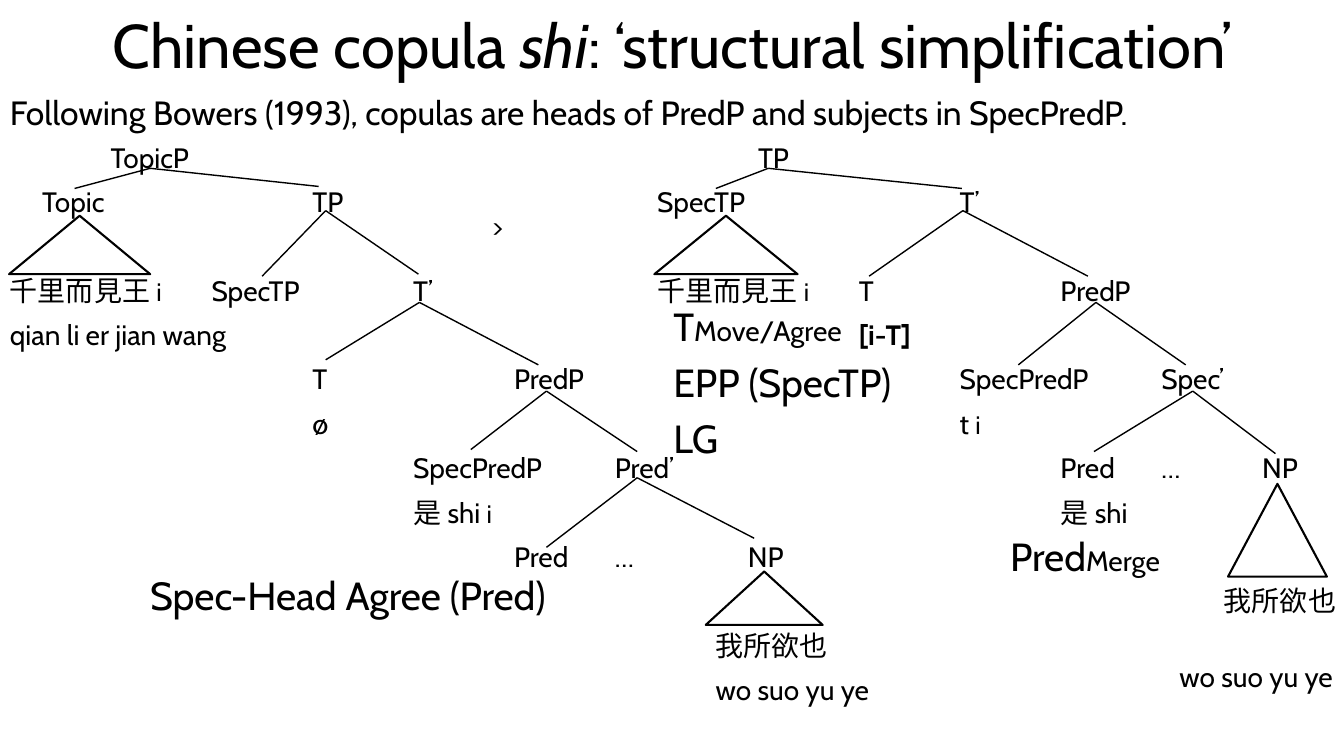
import pptx
import pptx.dml.color
import pptx.enum.shapes
import pptx.enum.text
import pptx.oxml.ns
import pptx.util
from lxml import etree
from pptx.util import Inches

BLACK = pptx.dml.color.RGBColor(0, 0, 0)
WHITE = pptx.dml.color.RGBColor(255, 255, 255)
FONT = "Cabin"
SLIDE_WIDTH, SLIDE_HEIGHT = 13.33, 7.5
ROW_HEIGHT = 0.44
LABEL_WIDTH = 2.4
LABEL_SIZE, INDEX_SIZE, NOTE_SIZE = 20, 18, 28

# Labels: (column in inches, row, runs); a run is (text, size, bold).
# Branches: apex, left end and right end. Triangles: left, top, width, height.
TOPIC_LABELS = [
    (1, 0, [("TopicP",)]),
    (0.32, 1, [("Topic",)]),
    (3, 1, [("TP",)]),
    (0, 3, [("千里而見王 ",), ("i", INDEX_SIZE)]),
    (2, 3, [("SpecTP",)]),
    (4, 3, [("T’",)]),
    (0, 4, [("qian li er jian wang",)]),
    (3, 5, [("T",)]),
    (5, 5, [("PredP",)]),
    (3, 6, [("ø",)]),
    (4, 7, [("SpecPredP",)]),
    (6, 7, [("Pred’",)]),
    (4, 8, [("是 shi ",), ("i", INDEX_SIZE)]),
    (5, 9, [("Pred",)]),
    (6, 9, [("…",)]),
    (7.32, 9, [("NP",)]),
    (7, 11, [("我所欲也",)]),
    (7, 12, [("wo suo yu ye",)]),
]
TOPIC_BRANCHES = [
    ((1.49, 0.29), (0.74, 0.49), (3.16, 0.47)),
    ((3.23, 0.71), (2.6, 1.36), (4.15, 1.34)),
    ((4.16, 1.62), (3.23, 2.19), (5.34, 2.24)),
    ((5.42, 2.5), (4.67, 3.08), (6.32, 3.1)),
    ((6.32, 3.36), (5.42, 4.05), (7.48, 3.96)),
]
TOPIC_TRIANGLES = [(0.09, 0.76, 1.4, 0.58), (7, 4.29, 1.16, 0.53)]

COPULA_LABELS = [
    (1, 0, [("TP",)]),
    (0, 1, [("SpecTP",)]),
    (3, 1, [("T’",)]),
    (0, 3, [("千里而見王 ",), ("i", INDEX_SIZE)]),
    (2, 3, [("T",)]),
    (4, 3, [("PredP",)]),
    (2, 4, [("[i-T]", LABEL_SIZE, True)]),
    (3, 5, [("SpecPredP",)]),
    (5, 5, [("Spec’",)]),
    (3, 6, [("t ",), ("i", INDEX_SIZE)]),
    (4, 7, [("Pred",)]),
    (5, 7, [("…",)]),
    (6, 7, [("NP",)]),
    (4, 8, [("是 shi",)]),
    (5.62, 10, [("我所欲也",)]),
    (5.18, 11.7, [("wo suo yu ye",)]),
]
COPULA_BRANCHES = [
    ((1.2, 0.29), (0.68, 0.49), (3.12, 0.49)),
    ((3.13, 0.71), (2.2, 1.36), (4.37, 1.36)),
    ((4.45, 1.62), (3.68, 2.24), (5.34, 2.24)),
    ((5.41, 2.5), (4.43, 3.1), (6.23, 3.12)),
]
COPULA_TRIANGLES = [(0.07, 0.76, 1.42, 0.58), (5.76, 3.42, 0.98, 0.92)]


def add_run(paragraph, text, size=LABEL_SIZE, bold=False, italic=False):
    run = paragraph.add_run()
    run.text = text
    run.font.name = FONT
    run.font.size = pptx.util.Pt(size)
    run.font.bold = bold
    run.font.italic = italic
    run.font.color.rgb = BLACK


def add_text(slide, left, top, width, height, paragraphs):
    """Add a text box; each paragraph is a list of run tuples."""
    frame = slide.shapes.add_textbox(
        Inches(left), Inches(top), Inches(width), Inches(height)).text_frame
    frame.word_wrap = True
    frame.margin_right = 0
    for index, runs in enumerate(paragraphs):
        paragraph = frame.add_paragraph() if index else frame.paragraphs[0]
        paragraph.line_spacing = 0.9
        if index:
            paragraph.space_before = pptx.util.Pt(10)
        for run in runs:
            add_run(paragraph, *run)


def add_branch(slide, start, end):
    branch = slide.shapes.add_connector(
        pptx.enum.shapes.MSO_CONNECTOR.STRAIGHT,
        *(Inches(value) for value in start + end))
    branch.line.color.rgb = BLACK
    branch.line.width = pptx.util.Pt(1)
    etree.SubElement(branch._element.spPr, pptx.oxml.ns.qn("a:effectLst"))


def add_triangle(slide, left, top, width, height):
    triangle = slide.shapes.add_shape(
        pptx.enum.shapes.MSO_SHAPE.ISOSCELES_TRIANGLE,
        Inches(left), Inches(top), Inches(width), Inches(height))
    triangle.shadow.inherit = False
    triangle.fill.solid()
    triangle.fill.fore_color.rgb = WHITE
    triangle.line.color.rgb = BLACK
    triangle.line.width = pptx.util.Pt(1.5)


def add_tree(slide, left, top, labels, branches, triangles):
    for column, row, runs in labels:
        label_left = left + column
        width = min(LABEL_WIDTH, SLIDE_WIDTH - label_left)
        add_text(slide, label_left, top + row * ROW_HEIGHT, width, 0.4, [runs])
    for apex, *ends in branches:
        for end in ends:
            add_branch(slide, (left + apex[0], top + apex[1]),
                       (left + end[0], top + end[1]))
    for offset_x, offset_y, width, height in triangles:
        add_triangle(slide, left + offset_x, top + offset_y, width, height)


def add_title(slide, left, top, width, height):
    title = slide.shapes.title
    title.left, title.top = Inches(left), Inches(top)
    title.width, title.height = Inches(width), Inches(height)
    frame = title.text_frame
    frame.word_wrap = True
    frame.vertical_anchor = pptx.enum.text.MSO_ANCHOR.MIDDLE
    paragraph = frame.paragraphs[0]
    paragraph.alignment = pptx.enum.text.PP_ALIGN.CENTER
    paragraph.line_spacing = 0.9
    add_run(paragraph, "Chinese copula ", 44)
    add_run(paragraph, "shi", 44, italic=True)
    add_run(paragraph, ": ‘structural simplification’", 44)


def add_notes_on_trees(slide):
    """Add the larger remarks beside the two trees."""
    add_text(slide, 4.78, 2.07, 0.5, 0.4, [[(">",)]])
    add_text(slide, 1.39, 5.67, 4.6, 0.55,
             [[("Spec-Head Agree (Pred)", NOTE_SIZE)]])
    add_text(slide, 9.92, 5.28, 2, 0.55,
             [[("Pred", NOTE_SIZE), ("Merge",)]])
    add_text(slide, 6.58, 3, 2.5, 1.65,
             [[("T", NOTE_SIZE), ("Move/Agree",)],
              [("EPP (SpecTP)", NOTE_SIZE)],
              [("LG", NOTE_SIZE)]])


def main():
    presentation = pptx.Presentation()
    presentation.slide_width = Inches(SLIDE_WIDTH)
    presentation.slide_height = Inches(SLIDE_HEIGHT)
    slide = presentation.slides.add_slide(presentation.slide_layouts[5])
    add_title(slide, 0.92, 0, 11.5, 0.97)
    add_text(slide, 0, 0.91, 12.42, 0.5, [[(
        "Following Bowers (1993), copulas are heads of PredP "
        "and subjects in SpecPredP.", 24)]])
    add_tree(slide, 0, 1.38, TOPIC_LABELS, TOPIC_BRANCHES, TOPIC_TRIANGLES)
    add_tree(slide, 6.42, 1.38, COPULA_LABELS, COPULA_BRANCHES, COPULA_TRIANGLES)
    add_notes_on_trees(slide)
    presentation.save("out.pptx")


if __name__ == "__main__":
    main()
